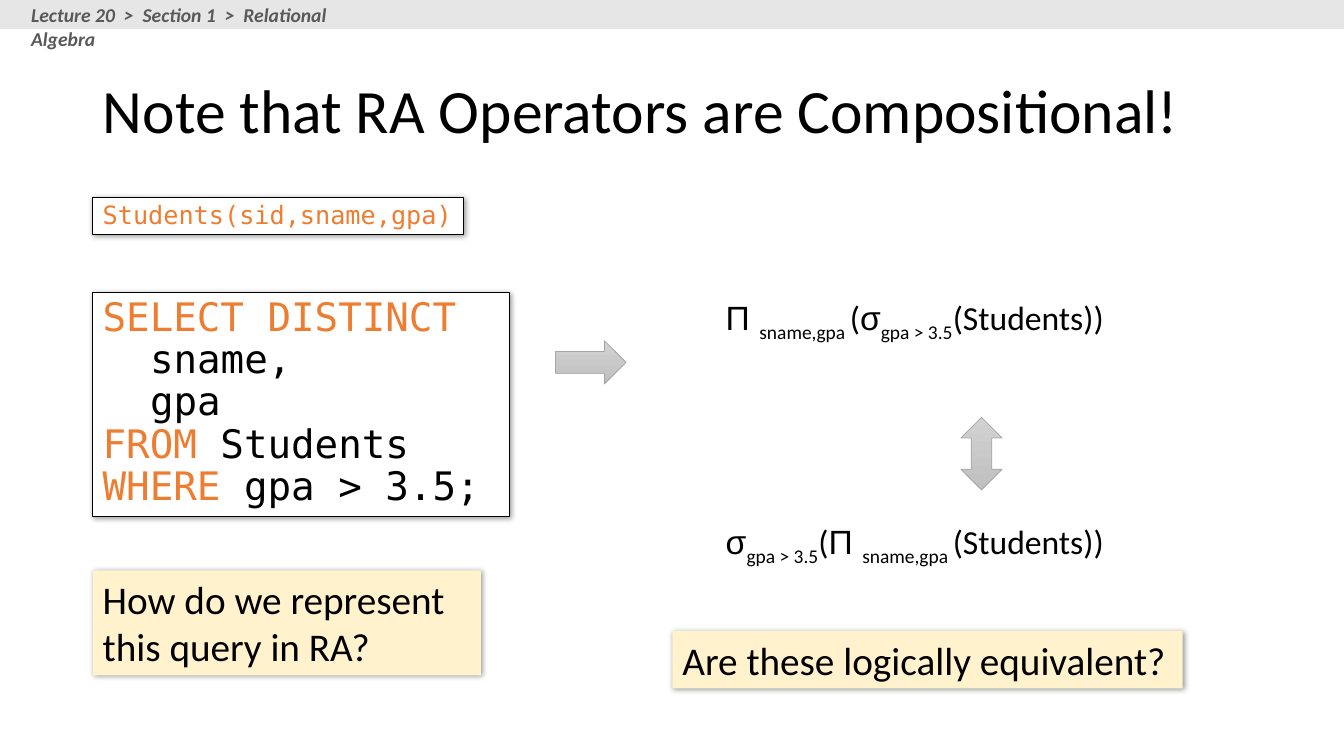
from lxml.etree import SubElement
from pptx import Presentation
from pptx.dml.color import RGBColor
from pptx.enum.shapes import MSO_SHAPE
from pptx.enum.text import MSO_ANCHOR, PP_ALIGN
from pptx.oxml.ns import qn
from pptx.util import Inches, Pt

BLACK = RGBColor(0x00, 0x00, 0x00)
WHITE = RGBColor(0xFF, 0xFF, 0xFF)
ORANGE = RGBColor(0xED, 0x7D, 0x31)
CREAM = RGBColor(0xFF, 0xF2, 0xCC)
BAND = RGBColor(0xE7, 0xE6, 0xE6)
CRUMB = RGBColor(0x59, 0x59, 0x59)
ARROW_TOP = RGBColor(0xD2, 0xD2, 0xD2)
ARROW_BOTTOM = RGBColor(0xC0, 0xC0, 0xC0)
ARROW_EDGE = RGBColor(0xA5, 0xA5, 0xA5)

SANS, MONO, GREEK = "Calibri", "DejaVu Sans Mono", "Arial"
LEFT = 0.92
FORMULA_LEFT = 7.1

TITLE = "Note that RA Operators are Compositional!"
BREADCRUMB = "Lecture 20  >  Section 1  >  Relational Algebra"
SCHEMA = [(0, [("Students(sid,sname,gpa)", ORANGE)])]
QUERY = [
    (0, [("SELECT DISTINCT", ORANGE)]),
    (0.47, [("sname,", BLACK)]),
    (0.47, [("gpa", BLACK)]),
    (0, [("FROM", ORANGE), (" Students", BLACK)]),
    (0, [("WHERE ", ORANGE), ("gpa > 3.5;", BLACK)]),
]
CODE_BOXES = [
    ((LEFT, 2.9, 4.13, 2.22), 28, QUERY),
    ((LEFT, 1.96, 3.68, 0.37), 18, SCHEMA),
]
QUESTIONS = [
    ((LEFT, 5.66, 3.85, 1.04), "How do we represent this query in RA?"),
    ((6.67, 6.26, 5.06, 0.57), "Are these logically equivalent?"),
]
ARROWS = [
    (MSO_SHAPE.RIGHT_ARROW, (5.51, 3.38, 0.7, 0.43)),
    (MSO_SHAPE.UP_DOWN_ARROW, (9.53, 4.14, 0.41, 0.72)),
]
PROJECT = [("Π ", GREEK, False), ("sname,gpa ", SANS, True)]
SELECT = [("σ", GREEK, False), ("gpa > 3.5", SANS, True)]
OPEN, STUDENTS = ("(", SANS, False), ("(Students))", SANS, False)
FORMULAS = [
    (2.9, PROJECT + [OPEN] + SELECT + [STUDENTS]),
    (5.12, SELECT + [OPEN] + PROJECT + [STUDENTS]),
]


def style(font, face, size, color):
    font.name, font.size, font.color.rgb = face, Pt(size), color


def add_box(slide, place, fill=None, edge=None):
    box = slide.shapes.add_textbox(*map(Inches, place))
    box.text_frame.word_wrap = True
    if fill is not None:
        box.fill.solid()
        box.fill.fore_color.rgb = fill
        if edge is not None:
            box.line.color.rgb = edge
            box.line.width = Pt(0.75)
        effects = SubElement(box.element.spPr, qn("a:effectLst"))
        shadow = SubElement(effects, qn("a:outerShdw"), blurRad=str(Pt(4)),
                            dist=str(Pt(1)), dir="2700000", algn="tl", rotWithShape="0")
        shade = SubElement(shadow, qn("a:srgbClr"), val=str(BLACK))
        SubElement(shade, qn("a:alpha"), val="40000")
    return box.text_frame


def add_code(slide, place, size, lines):
    frame = add_box(slide, place, WHITE, BLACK)
    for number, (indent, pieces) in enumerate(lines):
        line = frame.add_paragraph() if number else frame.paragraphs[0]
        line.line_spacing = 0.9
        line.font.name, line.font.size = MONO, Pt(size)
        if indent:
            line._p.get_or_add_pPr().set("marL", str(Inches(indent)))
        for text, color in pieces:
            piece = line.add_run()
            piece.text = text
            style(piece.font, MONO, size, color)


def add_formula(slide, top, pieces):
    formula = add_box(slide, (FORMULA_LEFT, top, 4.3, 0.91)).paragraphs[0]
    for text, face, subscript in pieces:
        piece = formula.add_run()
        piece.text = text
        style(piece.font, face, 24, BLACK)
        if subscript:
            piece.font._element.set("baseline", "-25000")


def add_arrow(slide, kind, place):
    arrow = slide.shapes.add_shape(kind, *map(Inches, place))
    arrow.shadow.inherit = False
    arrow.fill.gradient()
    arrow.fill.gradient_angle = 270
    for stop, color in zip(arrow.fill.gradient_stops, (ARROW_TOP, ARROW_BOTTOM)):
        stop.color.rgb = color
    arrow.line.color.rgb = ARROW_EDGE
    arrow.line.width = Pt(0.5)


def add_title(slide):
    title = slide.shapes.title
    title.left, title.top, title.width, title.height = map(Inches, (LEFT, 0.4, 11.5, 1.45))
    title.text_frame.text = TITLE
    title.text_frame.vertical_anchor = MSO_ANCHOR.MIDDLE
    heading = title.text_frame.paragraphs[0]
    heading.alignment = PP_ALIGN.LEFT
    heading.line_spacing = 0.9
    style(heading.font, SANS, 44, BLACK)


def add_header(slide, width):
    band = slide.shapes.add_shape(MSO_SHAPE.RECTANGLE, 0, 0, width, Inches(0.29))
    band.shadow.inherit = False
    band.fill.solid()
    band.fill.fore_color.rgb = BAND
    band.line.fill.background()
    crumb = add_box(slide, (0.21, -0.02, 3.8, 0.34)).paragraphs[0]
    crumb.text = BREADCRUMB
    style(crumb.font, SANS, 14, CRUMB)
    crumb.font.bold = crumb.font.italic = True


def main():
    deck = Presentation()
    deck.slide_width, deck.slide_height = Inches(13.33), Inches(7.5)
    slide = deck.slides.add_slide(deck.slide_layouts[5])
    add_title(slide)
    for place, size, lines in CODE_BOXES:
        add_code(slide, place, size, lines)
    for place, text in QUESTIONS:
        question = add_box(slide, place, CREAM).paragraphs[0]
        question.text = text
        style(question.font, SANS, 28, BLACK)
    for kind, place in ARROWS:
        add_arrow(slide, kind, place)
    add_header(slide, deck.slide_width)
    for top, pieces in FORMULAS:
        add_formula(slide, top, pieces)
    deck.save("out.pptx")


if __name__ == "__main__":
    main()
